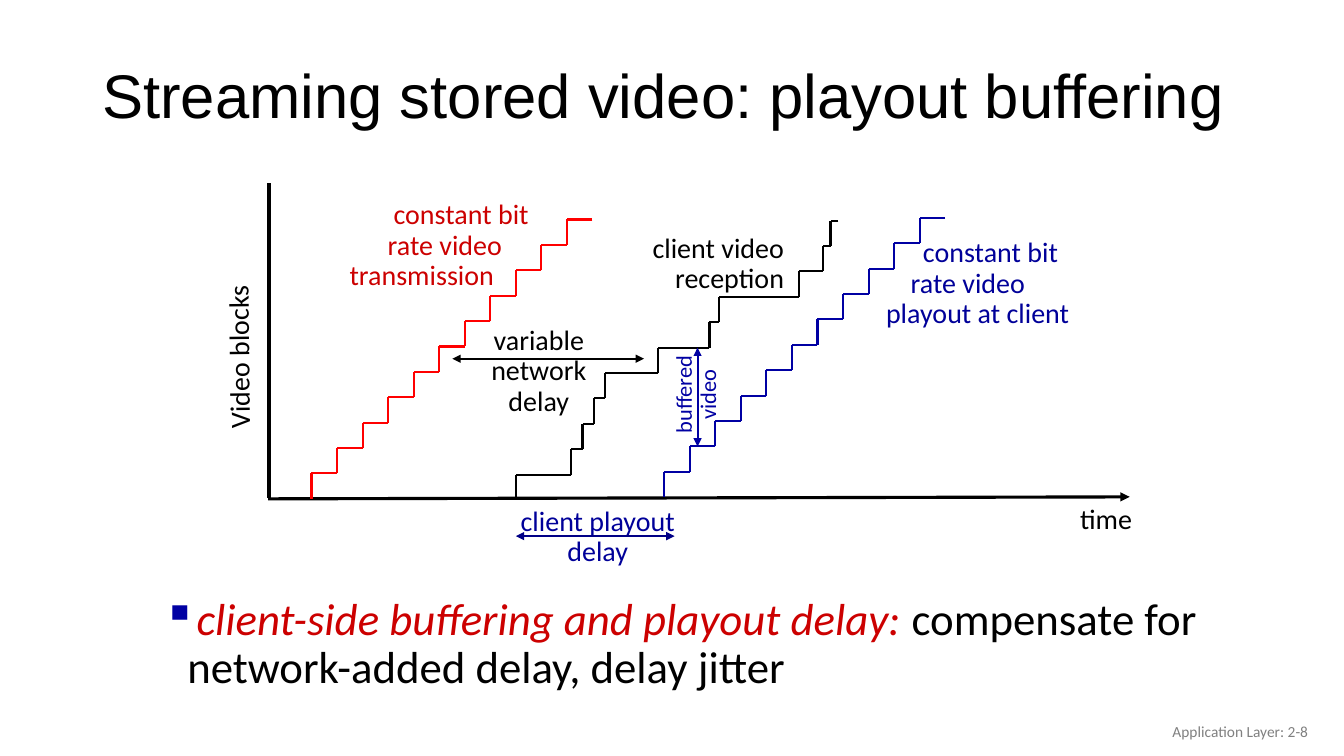
from itertools import pairwise

from lxml.etree import SubElement
from pptx import Presentation
from pptx.dml.color import RGBColor
from pptx.enum.shapes import MSO_CONNECTOR
from pptx.enum.text import MSO_ANCHOR, PP_ALIGN
from pptx.oxml.ns import qn
from pptx.util import Cm, Pt

BLACK, RED, DARK_RED = "000000", "FF0000", "CC0000"
BLUE, DARK_BLUE = "0000A3", "000099"

deck = Presentation()
deck.slide_width, deck.slide_height = Cm(33.87), Cm(19.05)
slide = deck.slides.add_slide(deck.slide_layouts[6])


def write(text, left, top, width, height, size=20, color=BLACK, font="Calibri",
          align=PP_ALIGN.LEFT, anchor=MSO_ANCHOR.TOP, wrap=True, rotation=0,
          indents=(), spacing=0.9, italic=False):
    box = slide.shapes.add_textbox(Cm(left), Cm(top), Cm(width), Cm(height))
    box.rotation = rotation
    frame = box.text_frame
    frame.word_wrap = wrap
    frame.vertical_anchor = anchor
    frame.text = text
    for paragraph in frame.paragraphs:
        paragraph.alignment = align
        paragraph.line_spacing = spacing
        for run in paragraph.runs:
            run.font.name = font
            run.font.size = Pt(size)
            run.font.italic = italic
            run.font.color.rgb = RGBColor.from_string(color)
    for paragraph, indent in zip(frame.paragraphs, indents):
        paragraph._p.get_or_add_pPr().set("marL", str(Cm(indent)))
    return frame


def draw_line(x1, y1, x2, y2, color=BLACK, weight=1.5, arrows=()):
    line = slide.shapes.add_connector(
        MSO_CONNECTOR.STRAIGHT, Cm(x1), Cm(y1), Cm(x2), Cm(y2))
    line.line.color.rgb = RGBColor.from_string(color)
    line.line.width = Pt(weight)
    for end in arrows:
        SubElement(line.line._get_or_add_ln(), qn(f"a:{end}"), type="triangle")
    SubElement(line._element.spPr, qn("a:effectLst"))


write("Streaming stored video: playout buffering", 2.33, 1.25, 29.21, 2.49,
      size=44, font="Arial", anchor=MSO_ANCHOR.MIDDLE)

draw_line(6.78, 4.62, 6.78, 12.55, weight=2.25)
draw_line(28.47, 12.52, 6.76, 12.57, weight=2.25, arrows=["headEnd"])
write("Video blocks", 3.33, 7.82, 5.44, 1.02, rotation=269.4)
write("time", 26.97, 12.6, 1.85, 1.02, wrap=False)

steps = 11
rise = 0.64
run_length = 7.08 / steps
transmission = [7.85 + i * run_length for i in range(steps + 1)]
reception = [13, 14.4, 14.68, 14.96, 15.24, 16.59, 17.88, 18.11, 20.14, 20.73, 20.93, 21.13]
playout = [16.74 + i * run_length for i in range(steps + 1)]

for stair, base, color in [
    (transmission, 12.57, RED),
    (reception, 12.6, BLACK),
    (playout, 12.53, BLUE),
]:
    for i, (start, end) in enumerate(pairwise(stair)):
        bottom = base - i * rise
        draw_line(start, bottom - rise, start, bottom, color)
        draw_line(end, bottom - rise, start, bottom - rise, color)

write("constant bit\nrate video\ntransmission", 8.56, 4.93, 5.23, 2.57,
      color=DARK_RED, indents=[1.11, 0.96, 0])
write("client video\nreception", 16.15, 5.77, 3.86, 1.8,
      align=PP_ALIGN.RIGHT, wrap=False)
write("constant bit\nrate video\nplayout at client", 21.92, 5.89, 5.33, 2.57,
      color=DARK_BLUE, indents=[1.09, 0.78, 0.16])

both_ends = ["headEnd", "tailEnd"]
write("variable\nnetwork\ndelay", 12.12, 8.1, 2.92, 2.57,
      align=PP_ALIGN.CENTER, wrap=False)
draw_line(11.4, 9.04, 16.23, 9.04, arrows=both_ends)
write("client playout\ndelay", 12.73, 12.65, 4.67, 1.8,
      color=DARK_BLUE, align=PP_ALIGN.CENTER)
draw_line(13, 13.51, 17, 13.51, "010086", arrows=both_ends)
draw_line(17.58, 11.25, 17.58, 8.76, BLUE, arrows=both_ends)
write("buffered\nvideo", 16.33, 9.19, 2.49, 1.5, size=16, color=BLUE,
      align=PP_ALIGN.CENTER, wrap=False, rotation=270)

summary = write("client-side buffering and playout delay: ", 3.48, 14.91, 29.21, 2.46,
                size=32, color=DARK_RED, italic=True, indents=[0.99]).paragraphs[0]
summary.space_before = Pt(10)
explanation = summary.add_run()
explanation.text = "compensate for network-added delay, delay jitter"
explanation.font.name = "Calibri"
explanation.font.size = Pt(32)
explanation.font.color.rgb = RGBColor.from_string(BLACK)
summary_format = summary._p.get_or_add_pPr()
summary_format.set("indent", str(Cm(-0.61)))
bullet_color = SubElement(summary_format, qn("a:buClr"))
SubElement(bullet_color, qn("a:srgbClr"), val=BLUE)
SubElement(summary_format, qn("a:buChar"), char="▪")

write("Application Layer: 2-8", 25.6, 17.91, 7.62, 1.02, size=11, color="808080",
      align=PP_ALIGN.RIGHT, anchor=MSO_ANCHOR.MIDDLE, spacing=1.0)

deck.save("out.pptx")
